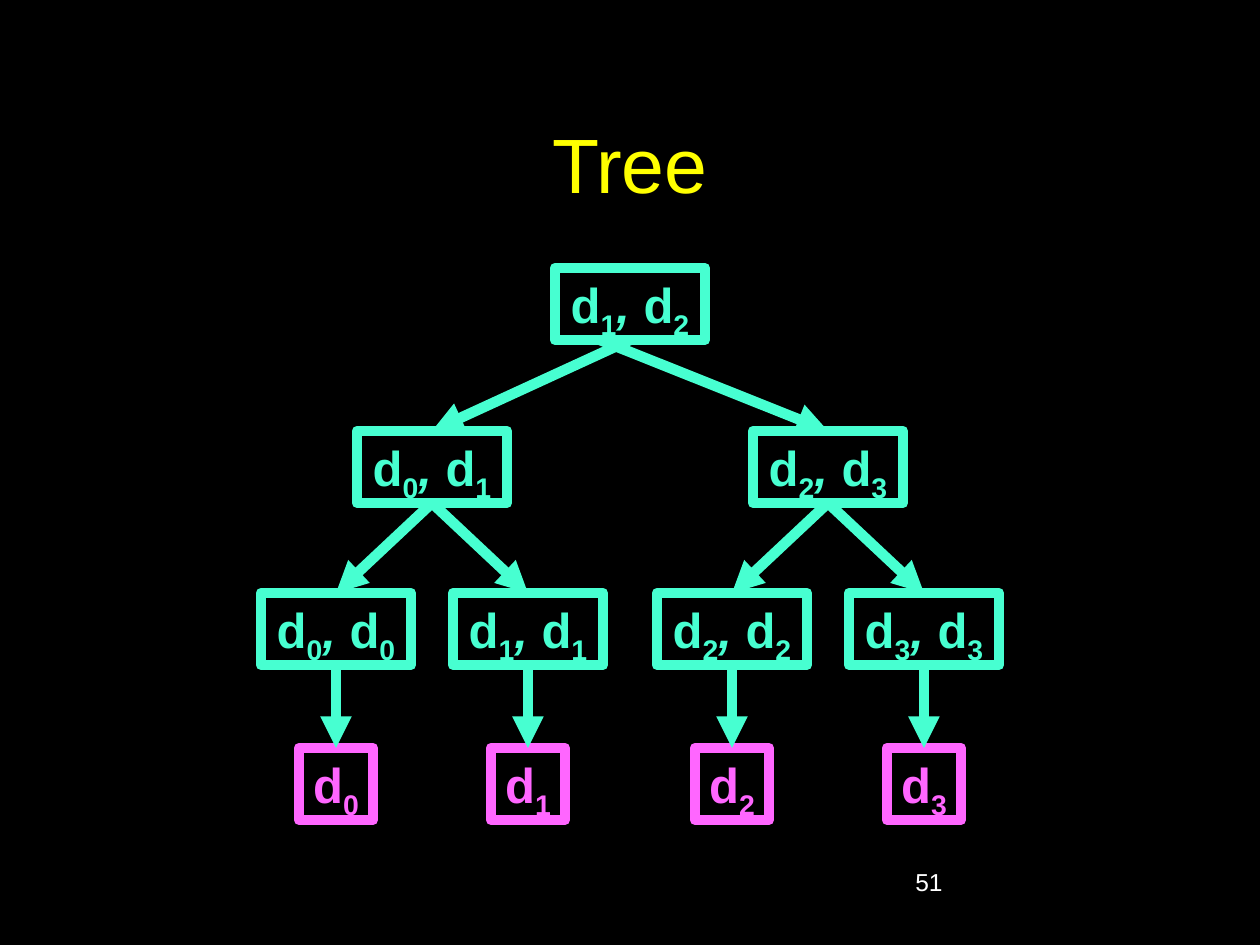
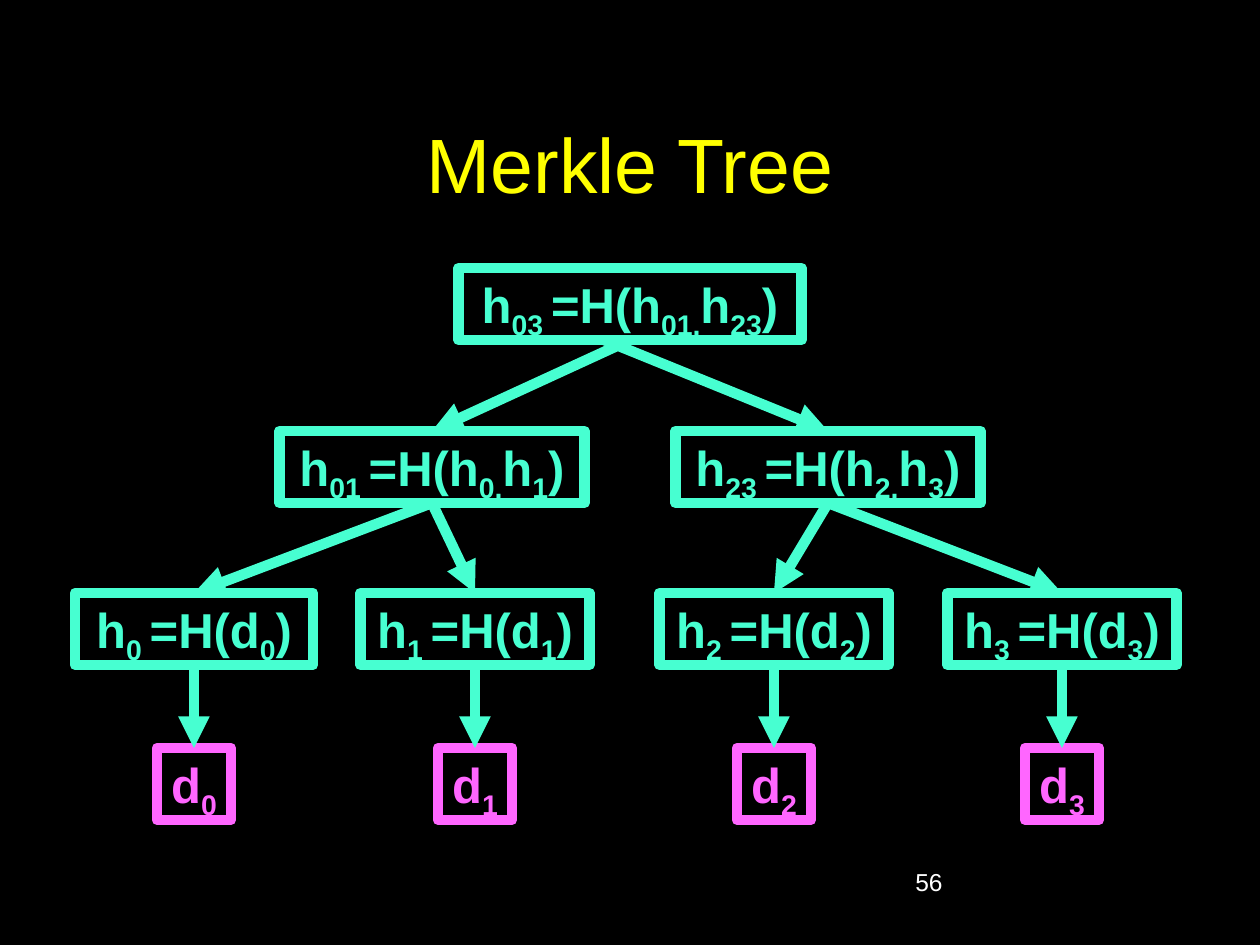
from pptx import Presentation
from pptx.dml.color import RGBColor
from pptx.enum.shapes import MSO_CONNECTOR as CONNECTOR, MSO_SHAPE as SHAPE
from pptx.enum.text import MSO_ANCHOR as ANCHOR, MSO_AUTO_SIZE as AUTO_SIZE, PP_ALIGN as ALIGN
from pptx.oxml.ns import qn
from pptx.util import Emu, Pt
from lxml.etree import SubElement

BLACK, WHITE, YELLOW = "000000", "FFFFFF", "FFFF00"
NODE_COLOR, DATA_COLOR = "47FFD1", "FF66FF"
ROOT_TOP, BRANCH_TOP, LEAF_TOP, DATA_TOP = 268, 431, 593, 748
BOX_HEIGHT, DATA_WIDTH = 72, 74
ROOT_CENTER, BRANCH_CENTERS = 630, (432, 828)


def px(*lengths):
    return [Emu(round(length * 914400 / 126)) for length in lengths]


def add_runs(paragraph, label, size, color, bold=False):
    for part in label.split("|"):
        run = paragraph.add_run()
        run.text = part.lstrip("_/")
        font = run.font
        font.name, font.size, font.bold = "Arial", Pt(size), bold
        font.color.rgb = RGBColor.from_string(color)
        if part.startswith("_"):
            font._element.set("baseline", "-25000")
        if part.startswith("/"):
            font.italic = True


trees = [
    {
        "title": "Tree", "number": "51",
        "root": ("d|_1|/,| d|_2", 150),
        "branches": [("d|_0|/,| d|_1", 150), ("d|_2|/,| d|_3", 150)],
        "leaf": "d|_{0}|/,| d|_{0}",
        "leaf_centers": (336, 528, 732, 924), "leaf_widths": (150,) * 4,
        "right_start": 600,
    },
    {
        "title": "Merkle Tree", "number": "56",
        "root": ("h|_03 |=H(h|_01,|h|_23|)", 343),
        "branches": [("h|_01 |=H(h|_0,|h|_1|)", 305), ("h|_23 |=H(h|_2,|h|_3|)", 305)],
        "leaf": "h|_{0} |=H(d|_{0}|)",
        "leaf_centers": (194, 475, 774, 1062), "leaf_widths": (238, 229, 229, 229),
        "right_start": 604,
    },
]

presentation = Presentation()
presentation.slide_width, presentation.slide_height = px(1260, 945)
background = presentation.slide_master.background.fill
background.solid()
background.fore_color.rgb = RGBColor.from_string(BLACK)

for tree in trees:
    slide = presentation.slides.add_slide(presentation.slide_layouts[5])
    title = slide.shapes.title
    title.left, title.top, title.width, title.height = px(94, 84, 1072, 158)
    title.text_frame.vertical_anchor = ANCHOR.MIDDLE
    title_paragraph = title.text_frame.paragraphs[0]
    title_paragraph.alignment = ALIGN.CENTER
    add_runs(title_paragraph, tree["title"], 44, YELLOW)

    number_box = slide.shapes.add_textbox(*px(903, 861, 262, 63))
    number_box.text_frame.word_wrap = True
    add_runs(number_box.text_frame.paragraphs[0], tree["number"], 14, WHITE)

    root_label, root_width = tree["root"]
    boxes = [(root_label, ROOT_CENTER, ROOT_TOP, root_width, NODE_COLOR)]
    arrows = [
        (ROOT_CENTER, ROOT_TOP, BRANCH_CENTERS[0], BRANCH_TOP),
        (tree["right_start"], ROOT_TOP, BRANCH_CENTERS[1], BRANCH_TOP),
    ]
    for center, (label, width) in zip(BRANCH_CENTERS, tree["branches"]):
        boxes.append((label, center, BRANCH_TOP, width, NODE_COLOR))
    for index, (center, width) in enumerate(zip(tree["leaf_centers"], tree["leaf_widths"])):
        boxes.append((tree["leaf"].format(index), center, LEAF_TOP, width, NODE_COLOR))
        boxes.append((f"d|_{index}", center, DATA_TOP, DATA_WIDTH, DATA_COLOR))
        arrows.append((BRANCH_CENTERS[index // 2], BRANCH_TOP, center, LEAF_TOP))
        arrows.append((center, LEAF_TOP, center, DATA_TOP))

    for label, center, top, width, color in boxes:
        box = slide.shapes.add_shape(
            SHAPE.RECTANGLE, *px(center - width / 2, top, width, BOX_HEIGHT))
        box.shadow.inherit = False
        box.fill.solid()
        box.fill.fore_color.rgb = RGBColor.from_string(BLACK)
        box.line.color.rgb = RGBColor.from_string(color)
        box.line.width = Pt(6)
        frame = box.text_frame
        frame.word_wrap = False
        frame.auto_size = AUTO_SIZE.SHAPE_TO_FIT_TEXT
        frame.vertical_anchor = ANCHOR.TOP
        paragraph = frame.paragraphs[0]
        paragraph.alignment = ALIGN.CENTER
        add_runs(paragraph, label, 28, color, bold=True)

    for start, parent_top, end, child_top in arrows:
        arrow = slide.shapes.add_connector(
            CONNECTOR.STRAIGHT, *px(start, parent_top + BOX_HEIGHT, end, child_top))
        arrow.line.color.rgb = RGBColor.from_string(NODE_COLOR)
        arrow.line.width = Pt(6)
        SubElement(arrow.line._get_or_add_ln(), qn("a:tailEnd"), type="triangle")
        SubElement(arrow._element.spPr, qn("a:effectLst"))

presentation.save("out.pptx")
